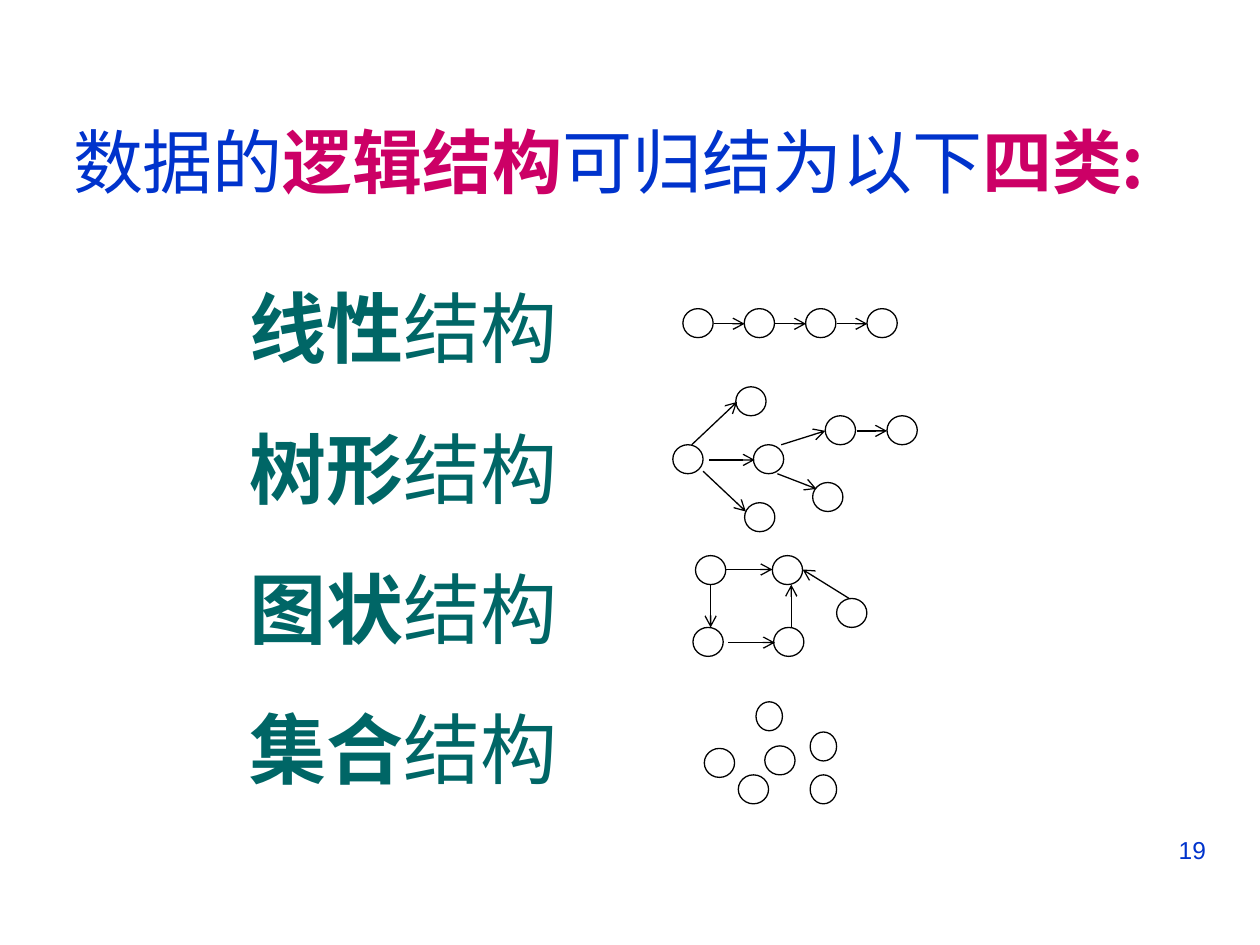
from lxml.etree import SubElement
from pptx import Presentation
from pptx.dml.color import RGBColor
from pptx.enum.shapes import MSO_CONNECTOR, MSO_SHAPE
from pptx.enum.text import MSO_ANCHOR, MSO_AUTO_SIZE, PP_ALIGN
from pptx.oxml.ns import qn
from pptx.util import Inches, Pt

BLUE = RGBColor(0x00, 0x33, 0xCC)
MAGENTA = RGBColor(0xCC, 0x00, 0x66)
TEAL = RGBColor(0x00, 0x66, 0x66)
BLACK = RGBColor(0x00, 0x00, 0x00)
WHITE = RGBColor(0xFF, 0xFF, 0xFF)
CJK_FONT = "Noto Sans CJK SC"

prs = Presentation()
prs.slide_width, prs.slide_height = Inches(10), Inches(7.5)
slide = prs.slides.add_slide(prs.slide_layouts[5])

# Grid: 100 columns by 75 rows
COL = prs.slide_width / 100
ROW = prs.slide_height / 75


def place(col, row):
    return round(col * COL), round(row * ROW)


def write_line(frame, size, parts):
    """Fill the first paragraph with (text, bold, colour) parts."""
    paragraph = frame.paragraphs[0]
    paragraph.alignment = PP_ALIGN.LEFT
    paragraph.font.size = Pt(size)
    paragraph.font.name = CJK_FONT
    SubElement(paragraph._p.pPr.find(qn("a:defRPr")), qn("a:ea"), typeface=CJK_FONT)
    for text, bold, color in parts:
        run = paragraph.add_run()
        run.text = text
        run.font.bold = bold
        run.font.color.rgb = color


# Title
title = slide.shapes.title
title.left, title.top = place(4.8, 8.9)
title.width, title.height = place(89.9, 7.7)
title.text_frame.word_wrap = False
title.text_frame.auto_size = MSO_AUTO_SIZE.NONE
title.text_frame.vertical_anchor = MSO_ANCHOR.TOP
write_line(title.text_frame, 40, [
    ("数据的", False, BLUE),
    ("逻辑结构", True, MAGENTA),
    ("可归结为以下", False, BLUE),
    ("四类:", True, MAGENTA),
])

# Names of the four structures, evenly spaced
for i, kind in enumerate(["线性", "树形", "图状", "集合"]):
    label = slide.shapes.add_textbox(*place(18.8, 21.8 + 11.13 * i), *place(31.6, 8.4))
    label.text_frame.word_wrap = True
    write_line(label.text_frame, 44, [(kind, True, TEAL), ("结构", False, TEAL)])

# Diagrams: node corners (column, row) and arrows (from column, row, to column, row)
NODE_W, NARROW_W, NODE_H = 2.4, 2.1, 2.3
STEP = 4.87
linear_nodes = [(54.2 + STEP * i, 24.5) for i in range(4)]
linear_arrows = [(56.65 + STEP * i, 25.7, 59.1 + STEP * i, 25.7) for i in range(3)]
tree_nodes = [(53.4, 35.3), (58.4, 30.7), (59.8, 35.3), (59.1, 39.9),
              (65.5, 33), (64.5, 38.3), (70.4, 33)]
tree_arrows = [(56.3, 36.5, 59.9, 36.5), (54.9, 35.3, 58.5, 31.9),
               (55.8, 37.4, 59.2, 40.6), (62, 35.3, 65.5, 34.2),
               (61.7, 37.6, 64.8, 38.8), (68, 34.2, 70.4, 34.2)]
graph_nodes = [(55, 49.8), (55.2, 44.1), (61.4, 49.8), (61.3, 44.1), (66.4, 47.5)]
graph_arrows = [(57.8, 51, 61.5, 51), (57.6, 45.2, 61.3, 45.2),
                (56.4, 46.4, 56.4, 49.8), (62.8, 49.8, 62.8, 46.4),
                (67.4, 47.5, 63.7, 45.2)]
set_nodes = [(60.7, 59.2), (58.6, 61.5), (55.9, 59.4)]
set_narrow_nodes = [(64.3, 61.5), (64.3, 58.1), (60, 55.7)]

for nodes, narrow_nodes, arrows in [
    (linear_nodes, [], linear_arrows),
    (tree_nodes, [], tree_arrows),
    (graph_nodes, [], graph_arrows),
    (set_nodes, set_narrow_nodes, []),
]:
    diagram = slide.shapes.add_group_shape().shapes
    for corners, width in [(nodes, NODE_W), (narrow_nodes, NARROW_W)]:
        for corner in corners:
            node = diagram.add_shape(MSO_SHAPE.OVAL, *place(*corner), *place(width, NODE_H))
            node.shadow.inherit = False
            node.fill.solid()
            node.fill.fore_color.rgb = WHITE
            node.line.color.rgb = BLACK
            node.line.width = Pt(0.75)
    for x1, y1, x2, y2 in arrows:
        arrow = diagram.add_connector(MSO_CONNECTOR.STRAIGHT, *place(x1, y1), *place(x2, y2))
        arrow.line.color.rgb = BLACK
        arrow.line.width = Pt(0.75)
        SubElement(arrow.line._get_or_add_ln(), qn("a:tailEnd"), type="arrow")
        SubElement(arrow._element.spPr, qn("a:effectLst"))

# Page number
page = slide.shapes.add_textbox(*place(71.7, 65.8), *place(25, 5.2))
page.text_frame.word_wrap = True
page_line = page.text_frame.paragraphs[0]
page_line.text = "19"
page_line.alignment = PP_ALIGN.RIGHT
page_line.font.size = Pt(14)
page_line.font.name = "Arial"
page_line.font.color.rgb = BLUE

prs.save("out.pptx")
